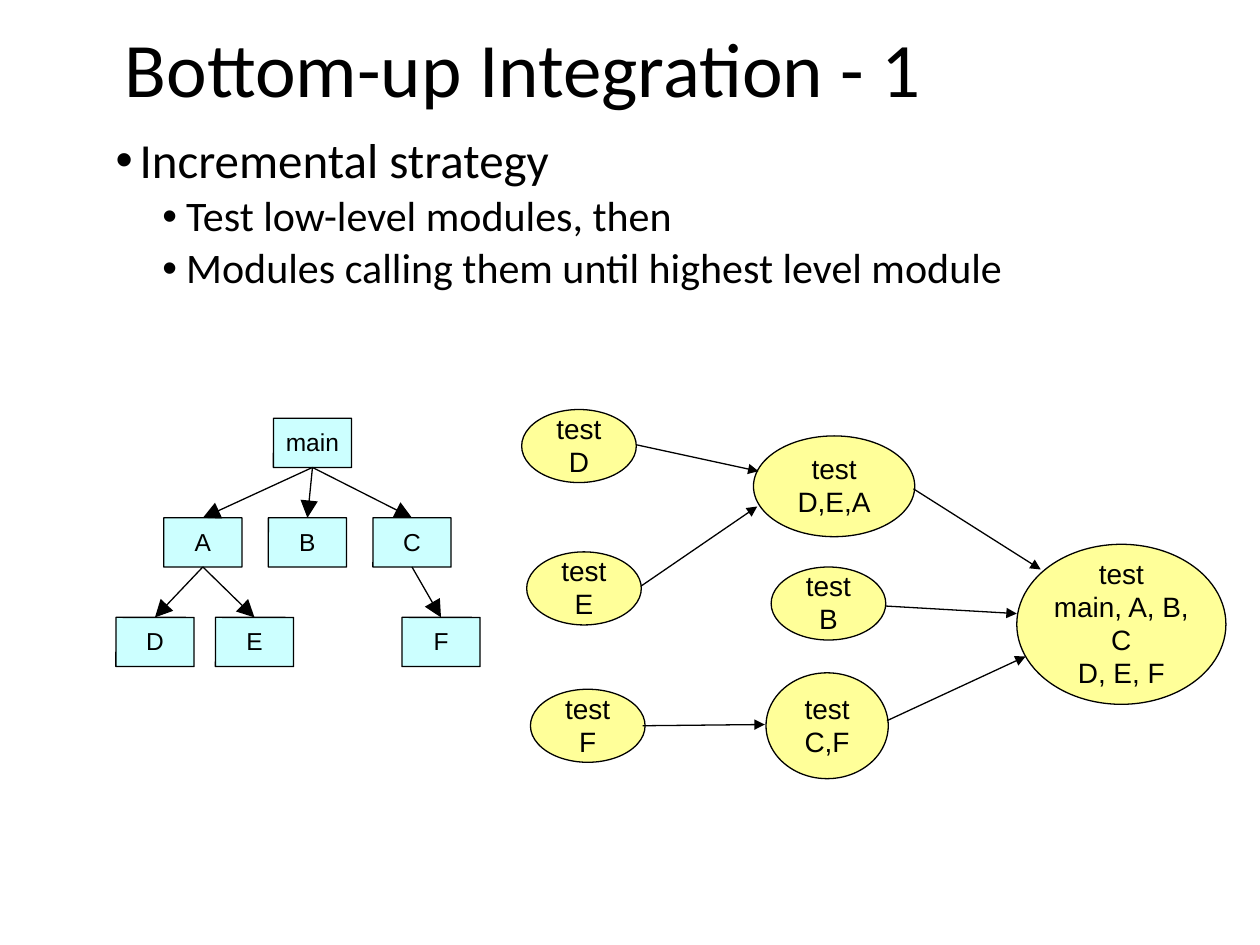
from lxml.etree import SubElement
from pptx import Presentation
from pptx.dml.color import RGBColor
from pptx.enum.shapes import MSO_CONNECTOR, MSO_SHAPE
from pptx.enum.text import MSO_ANCHOR, PP_ALIGN
from pptx.oxml.ns import qn
from pptx.util import Inches, Pt


def color(hex_text):
    """Turn a hex string into a colour."""
    return RGBColor.from_string(hex_text)


def format_para(para, font, size, spacing):
    """Set line spacing and the font of every run of a paragraph."""
    para.line_spacing = spacing
    for span in para.runs:
        span.font.name = font
        span.font.size = Pt(size)
        span.font.color.rgb = color("000000")


def place(item, left, top, width, height):
    """Move and size an item, in inches."""
    item.left, item.top = Inches(left), Inches(top)
    item.width, item.height = Inches(width), Inches(height)


def add_title(page, text, box):
    """Fill and format the title placeholder."""
    title = page.shapes.title
    place(title, *box)
    frame = title.text_frame
    frame.text = text
    frame.vertical_anchor = MSO_ANCHOR.MIDDLE
    frame.paragraphs[0].alignment = PP_ALIGN.LEFT
    format_para(frame.paragraphs[0], "Calibri", 44, 0.9)


def add_bullets(page, items, box):
    """Add a bulleted list of (level, text) items."""
    frame = page.shapes.add_textbox(*map(Inches, box)).text_frame
    frame.word_wrap = True
    frame.text = "\n".join(text for level, text in items)
    styles = [(28, 7.5, 0.19), (24, 3.8, 0.56)]
    for para, (level, text) in zip(frame.paragraphs, items):
        size, before, margin = styles[level]
        para.level = level
        para.space_before = Pt(before)
        format_para(para, "Calibri", size, 0.9)
        properties = para._p.get_or_add_pPr()
        properties.set("marL", str(Inches(margin)))
        properties.set("indent", str(Inches(-0.19)))
        SubElement(properties, qn("a:buFont")).set("typeface", "Arial")
        SubElement(properties, qn("a:buChar")).set("char", "•")


def add_node(group, kind, text, box, fill, size):
    """Add an outlined shape with centred text."""
    node = group.shapes.add_shape(kind, *map(Inches, box))
    node.shadow.inherit = False
    node.fill.solid()
    node.fill.fore_color.rgb = color(fill)
    node.line.color.rgb = color("000000")
    node.line.width = Pt(0.75)
    frame = node.text_frame
    frame.word_wrap = True
    frame.vertical_anchor = MSO_ANCHOR.MIDDLE
    frame.margin_left = frame.margin_right = frame.margin_top = frame.margin_bottom = 0
    frame.text = text
    for para in frame.paragraphs:
        para.alignment = PP_ALIGN.CENTER
        format_para(para, "Arial", size, 0.98)
    return node


def add_arrow(group, ends, head_size):
    """Add a thin arrow from the first point to the second."""
    arrow = group.shapes.add_connector(MSO_CONNECTOR.STRAIGHT, *map(Inches, ends))
    arrow.line.color.rgb = color("000000")
    arrow.line.width = Pt(0.75)
    head = SubElement(arrow.line._get_or_add_ln(), qn("a:tailEnd"))
    head.set("type", "triangle")
    head.set("w", head_size)
    head.set("len", head_size)
    SubElement(arrow._element.spPr, qn("a:effectLst"))
    return arrow


def add_module_tree(page, left, top):
    """Draw the call hierarchy of the modules."""
    group = page.shapes.add_group_shape()
    row_step = 0.79
    rows = [
        {"main": 1.25},
        {"A": 0.38, "B": 1.21, "C": 2.04},
        {"D": 0, "E": 0.79, "F": 2.27},
    ]
    modules = {}
    for index, row in enumerate(rows):
        for name, offset in row.items():
            box = (left + offset, top + index * row_step, 0.62, 0.39)
            module = add_node(group, MSO_SHAPE.ROUNDED_RECTANGLE, name, box, "CCFFFF", 14)
            module.adjustments[0] = 0.003
            modules[name] = module
    calls = {"main": "ABC", "A": "DE", "C": "F"}
    for caller, callees in calls.items():
        for callee in callees:
            arrow = add_arrow(group, (left, top, left, top), "lg")
            arrow.begin_connect(modules[caller], 2)
            arrow.end_connect(modules[callee], 0)


def add_test_flow(page, left, top):
    """Draw the order in which the modules are tested."""
    group = page.shapes.add_group_shape()
    small = (0.91, 0.58)
    tests = [
        ("D", 0, 0, *small),
        ("main, A, B, C\nD, E, F", 3.93, 1.07, 1.66, 1.27),
        ("D,E,A", 1.84, 0.21, 1.28, 0.8),
        ("E", 0.04, 1.13, *small),
        ("F", 0.07, 2.22, *small),
        ("C,F", 1.94, 2.09, 0.97, 0.84),
        ("B", 1.98, 1.25, *small),
    ]
    for name, x, y, width, height in tests:
        box = (left + x, top + y, width, height)
        add_node(group, MSO_SHAPE.OVAL, "test\n" + name, box, "FFFF99", 16)
    arrows = [
        (0.91, 0.28, 1.88, 0.49),
        (0.95, 1.4, 1.87, 0.77),
        (0.96, 2.51, 1.93, 2.5),
        (3.11, 0.63, 4.12, 1.27),
        (2.89, 1.56, 3.93, 1.62),
        (2.9, 2.47, 4, 1.96),
    ]
    for x1, y1, x2, y2 in arrows:
        add_arrow(group, (left + x1, top + y1, left + x2, top + y2), "med")


def main():
    """Build the slide and save the deck."""
    deck = Presentation()
    deck.slide_width, deck.slide_height = Inches(10), Inches(7.5)
    page = deck.slides.add_slide(deck.slide_layouts[5])
    add_title(page, "Bottom-up Integration - 1", (0.89, 0.12, 8.23, 0.91))
    bullets = [
        (0, "Incremental strategy"),
        (1, "Test low-level modules, then"),
        (1, "Modules calling them until highest level module"),
    ]
    add_bullets(page, bullets, (0.82, 1.03, 8.77, 5.88))
    add_test_flow(page, 4.14, 3.25)
    add_module_tree(page, 0.92, 3.32)
    deck.save("out.pptx")


if __name__ == "__main__":
    main()
